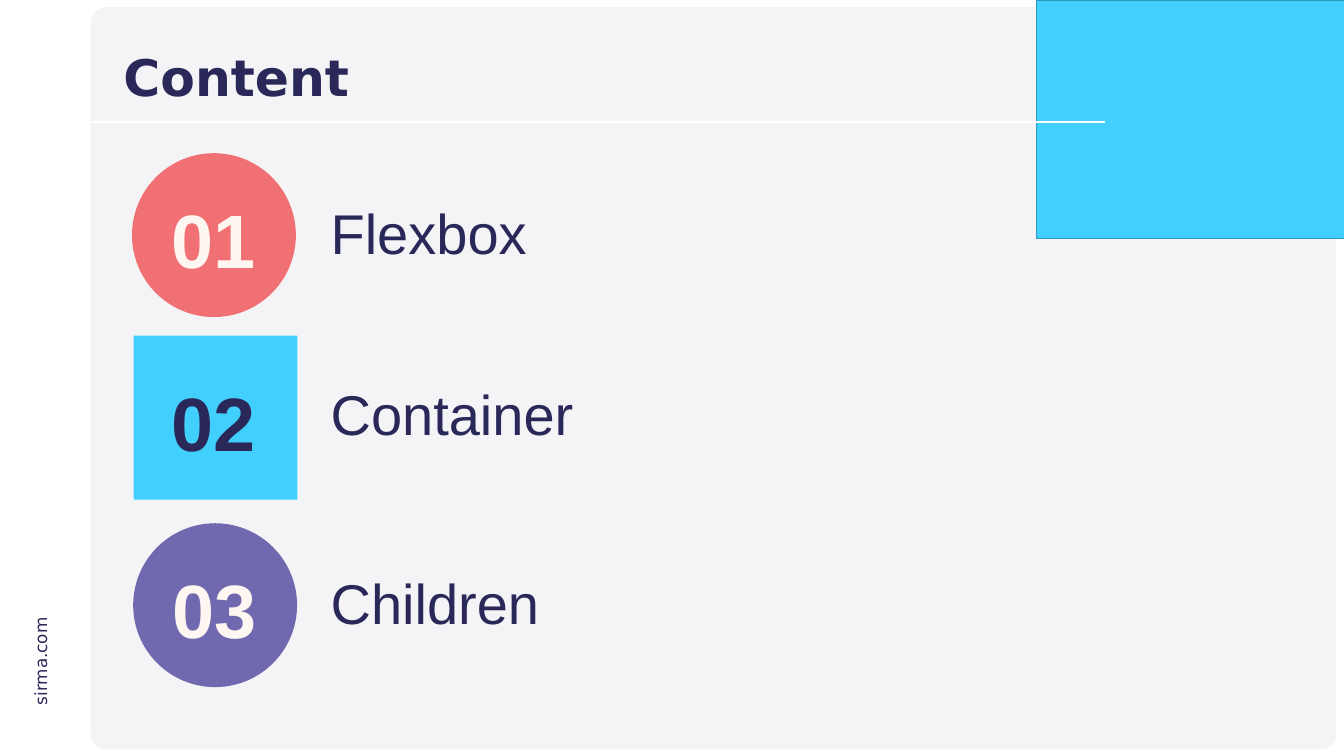
from lxml import etree
from pptx import Presentation
from pptx import util as u
from pptx.dml.color import RGBColor
from pptx.enum import shapes, text
from pptx.oxml import ns

NAVY = RGBColor(0x2A, 0x28, 0x59)
CREAM = RGBColor(0xFE, 0xF6, 0xF0)
WHITE = RGBColor(0xFF, 0xFF, 0xFF)
PANEL = RGBColor(0xF4, 0xF4, 0xF7)
CYAN = RGBColor(0x41, 0xCF, 0xFD)
TEAL = RGBColor(0x30, 0x99, 0xBB)
CORAL = RGBColor(0xF1, 0x70, 0x73)
PURPLE = RGBColor(0x71, 0x69, 0xB0)

HEADING_FONT = "DejaVu Sans"
BODY_FONT = "Arial"

RECT = shapes.MSO_SHAPE.RECTANGLE
ROUND_RECT = shapes.MSO_SHAPE.ROUNDED_RECTANGLE
OVAL = shapes.MSO_SHAPE.OVAL

BADGE_SIZE = 8.26
NUMBER_WIDTH = 9.45
LABEL_LEFT = 16.41


class SlideBuilder:
    """Draws on one slide; all lengths are in centimetres."""

    def __init__(self, slide):
        self.s = slide

    def shape(self, kind, left, top, width, height, fill, outline=None):
        sp = self.s.shapes.add_shape(
            kind, u.Cm(left), u.Cm(top), u.Cm(width), u.Cm(height))
        sp.shadow.inherit = False
        sp.fill.solid()
        sp.fill.fore_color.rgb = fill
        if outline is None:
            sp.line.fill.background()
        else:
            sp.line.color.rgb = outline
            sp.line.width = u.Pt(1)
        return sp

    def rule(self, left, right, y, color, weight):
        line = self.s.shapes.add_connector(
            shapes.MSO_CONNECTOR.STRAIGHT,
            u.Cm(left), u.Cm(y), u.Cm(right), u.Cm(y))
        line.line.color.rgb = color
        line.line.width = u.Pt(weight)
        etree.SubElement(line._element.spPr, ns.qn("a:effectLst"))

    def text(self, words, left, top, width, height, size, font=BODY_FONT,
             color=NAVY, bold=False, align=text.PP_ALIGN.LEFT,
             anchor=text.MSO_ANCHOR.TOP, wrap=True, grow=True):
        sp = self.s.shapes.add_textbox(
            u.Cm(left), u.Cm(top), u.Cm(width), u.Cm(height))
        tf = sp.text_frame
        tf.word_wrap = wrap
        tf.vertical_anchor = anchor
        if grow:
            tf.auto_size = text.MSO_AUTO_SIZE.SHAPE_TO_FIT_TEXT
        p = tf.paragraphs[0]
        p.alignment = align
        r = p.add_run()
        r.text = words
        r.font.name = font
        r.font.size = u.Pt(size)
        r.font.bold = bold
        r.font.color.rgb = color
        return sp

    def agenda_item(self, number, label, kind, left, top, fill, color,
                    number_center, label_top):
        """Numbered badge with its topic to the right."""
        self.shape(kind, left, top, BADGE_SIZE, BADGE_SIZE, fill)
        self.text(f"{number:02}", number_center - NUMBER_WIDTH / 2,
                  top + 1.82, NUMBER_WIDTH, 4.88, 108, color=color, bold=True,
                  align=text.PP_ALIGN.CENTER, anchor=text.MSO_ANCHOR.BOTTOM)
        self.text(label, LABEL_LEFT, label_top, 38, 3.68, 80)


def main():
    prs = Presentation()
    prs.slide_width, prs.slide_height = u.Cm(67.72), u.Cm(38.1)
    slide = SlideBuilder(prs.slides.add_slide(prs.slide_layouts[6]))

    panel = slide.shape(ROUND_RECT, 4.57, 0.36, 62.76, 37.41, PANEL)
    panel.adjustments[0] = 0.021
    site = slide.text("sirma.com", -0.46, 32.66, 5, 1.27, 24,
                      font=HEADING_FONT, wrap=False)
    site.rotation = 270
    slide.shape(RECT, 52.22, 0, 15.5, 12.01, CYAN, outline=TEAL)
    slide.shape(RECT, 4.65, 1.35, 46.58, 6.05, PANEL)
    slide.rule(4.65, 55.7, 6.17, WHITE, 3)
    title = slide.text("Content", 5.97, 2.03, 49.71, 4.01, 72,
                       font=HEADING_FONT, bold=True,
                       anchor=text.MSO_ANCHOR.MIDDLE, grow=False)
    title.text_frame.paragraphs[0].line_spacing = 0.9

    items = [
        ("Flexbox", OVAL, 6.65, 7.72, CORAL, CREAM, 10.77, 9.88),
        ("Container", RECT, 6.73, 16.92, CYAN, NAVY, 10.77, 19),
        ("Children", OVAL, 6.71, 26.37, PURPLE, CREAM, 10.82, 28.52),
    ]
    for number, item in enumerate(items, start=1):
        slide.agenda_item(number, *item)

    prs.save("out.pptx")


if __name__ == "__main__":
    main()
